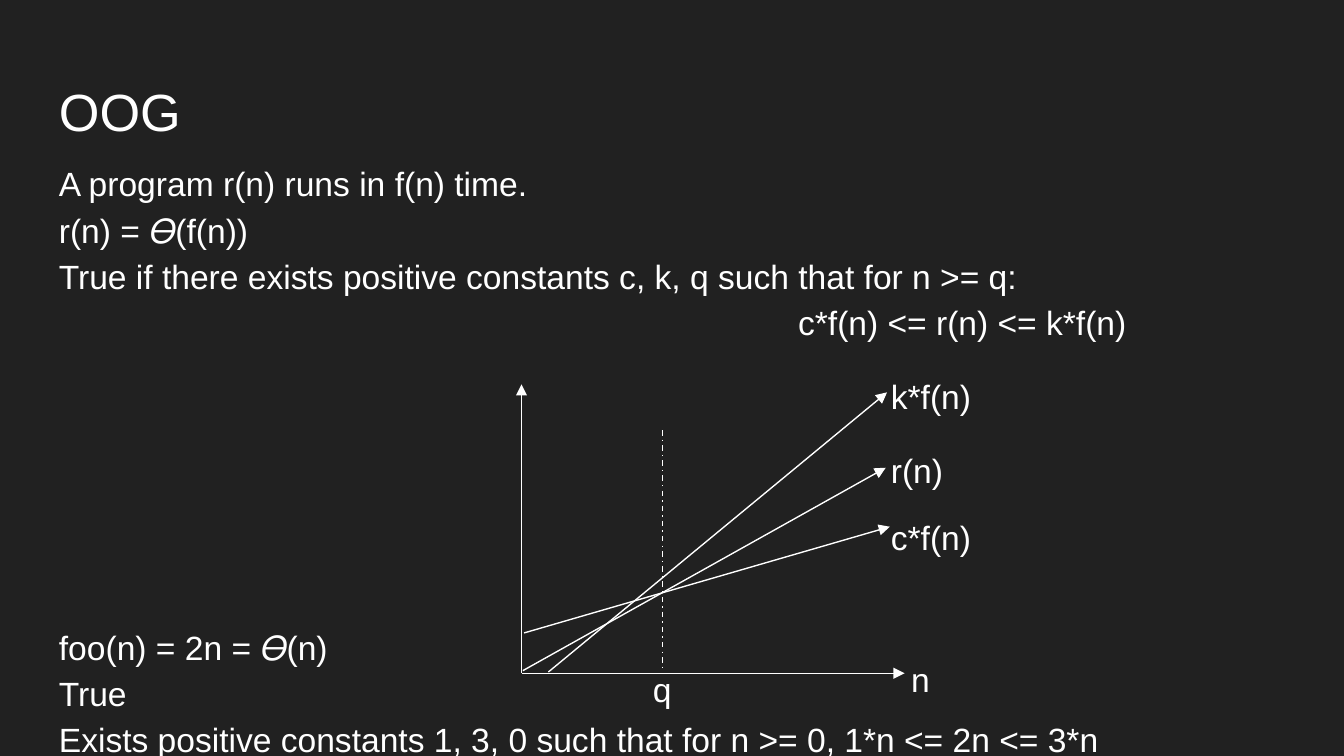
from lxml.etree import SubElement
from pptx import Presentation
from pptx.dml.color import RGBColor
from pptx.enum.dml import MSO_LINE_DASH_STYLE as Dash
from pptx.enum.shapes import MSO_CONNECTOR as Connector
from pptx.enum.text import MSO_ANCHOR as Anchor
from pptx.oxml.ns import qn
from pptx.util import Pt

COLORS = {"ground": "212121", "ink": "FFFFFF"}
FRAME = {
    "word_wrap": True, "vertical_anchor": Anchor.TOP,
    "margin_left": Pt(7.2), "margin_right": Pt(7.2),
    "margin_top": Pt(7.2), "margin_bottom": Pt(7.2),
}
BODY = {"line_spacing": 1.15}
STATEMENTS = [
    ("A program r(n) runs in f(n) time.", 0, 0),
    ("r(n) = 𝛳(f(n))", 0, 0),
    ("True if there exists positive constants c, k, q such that for n >= q:", 0, 0),
    ("c*f(n) <= r(n) <= k*f(n)", 396, 0),
    ("foo(n) = 2n = 𝛳(n)", 0, 149),
    ("True", 0, 0),
    ("Exists positive constants 1, 3, 0 such that for n >= 0, 1*n <= 2n <= 3*n", 0, 0),
]
CURVES = [
    ((14.4, 0.7), (195.8, 150.5)),
    ((0.7, 1.4), (195.1, 110.1)),
    ((1.4, 21.6), (197.3, 78.5)),
]
LABELS = [
    ("k*f(n)", 190.8, 169.9),
    ("r(n)", 190.8, 130.3),
    ("c*f(n)", 190.8, 94.3),
    ("n", 201.6, 18),
    ("q", 63.3, 12.9),
]


def apply(target, values):
    """Set each named attribute on the target."""
    for name, value in values.items():
        setattr(target, name, value)


def add_text(slide, box, lines, size, layout):
    """Write lines of (text, left indent, space before) in a box."""
    frame = slide.shapes.add_textbox(*map(Pt, box)).text_frame
    apply(frame, FRAME)
    for index, (text, indent, gap) in enumerate(lines):
        para = frame.add_paragraph() if index else frame.paragraphs[0]
        apply(para, layout)
        if indent:
            para._p.get_or_add_pPr().set("marL", str(Pt(indent)))
        if gap:
            para.space_before = Pt(gap)
        span = para.add_run()
        span.text = text
        apply(span.font, {"name": "Arial", "size": Pt(size)})
        span.font.color.rgb = RGBColor.from_string(COLORS["ink"])


def add_line(slide, start, end, dash=None):
    """Draw an arrow, or a plain line when a dash style is given."""
    line = slide.shapes.add_connector(Connector.STRAIGHT, *map(Pt, start + end))
    line.line.width = Pt(0.75)
    line.line.color.rgb = RGBColor.from_string(COLORS["ink"])
    if dash:
        line.line.dash_style = dash
    else:
        SubElement(line.line._get_or_add_ln(), qn("a:tailEnd"), type="triangle")
    SubElement(line._element.spPr, qn("a:effectLst"))


def add_growth_graph(slide, box):
    """Draw axes, growth curves, threshold and labels in a box."""
    left, top, width, height = box

    def place(right, up):
        """Turn an offset from the origin into a slide position."""
        return left + right, top + height - up

    for end in ((0, height), (width, 0)):
        add_line(slide, place(0, 0), place(*end))
    for start, end in CURVES:
        add_line(slide, place(*start), place(*end))
    add_line(slide, place(75.6, 130.3), place(75.6, 2.2), Dash.DASH_DOT)
    for text, right, up in LABELS:
        add_text(slide, (*place(right, up), 80, 40), [(text, 0, 0)], 18, BODY)


def build_deck():
    """Build and save the one-slide deck."""
    deck = Presentation()
    apply(deck, {"slide_width": Pt(720), "slide_height": Pt(405)})
    page = deck.slides.add_slide(deck.slide_layouts[6])
    fill = page.background.fill
    fill.solid()
    fill.fore_color.rgb = RGBColor.from_string(COLORS["ground"])
    add_text(page, (24.5, 35.3, 671, 45.4), [("OOG", 0, 0)], 28, {})
    add_text(page, (24.5, 77, 695.5, 281), STATEMENTS, 18, BODY)
    add_growth_graph(page, (279.4, 205.9, 205.2, 154.8))
    deck.save("out.pptx")


if __name__ == "__main__":
    build_deck()
